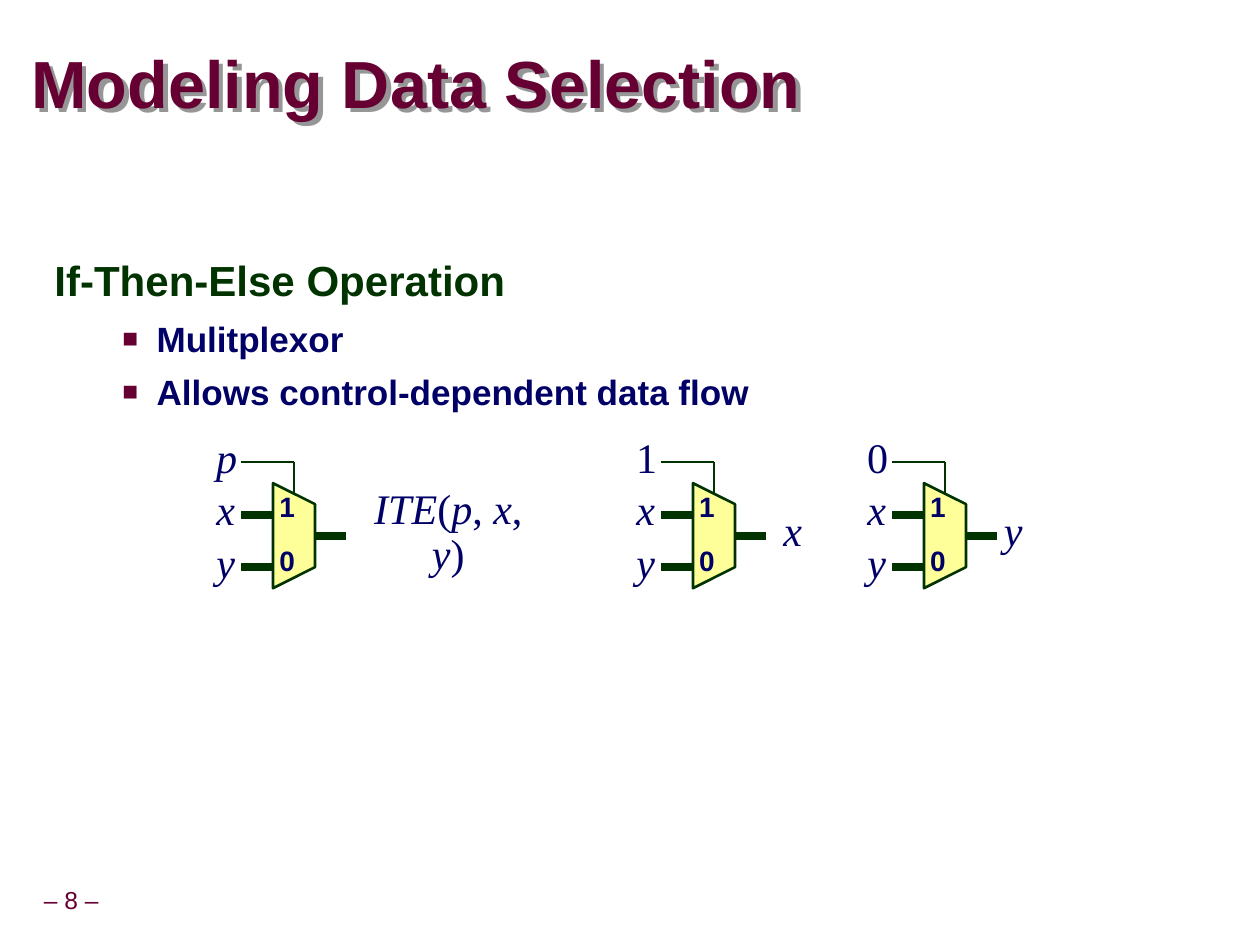
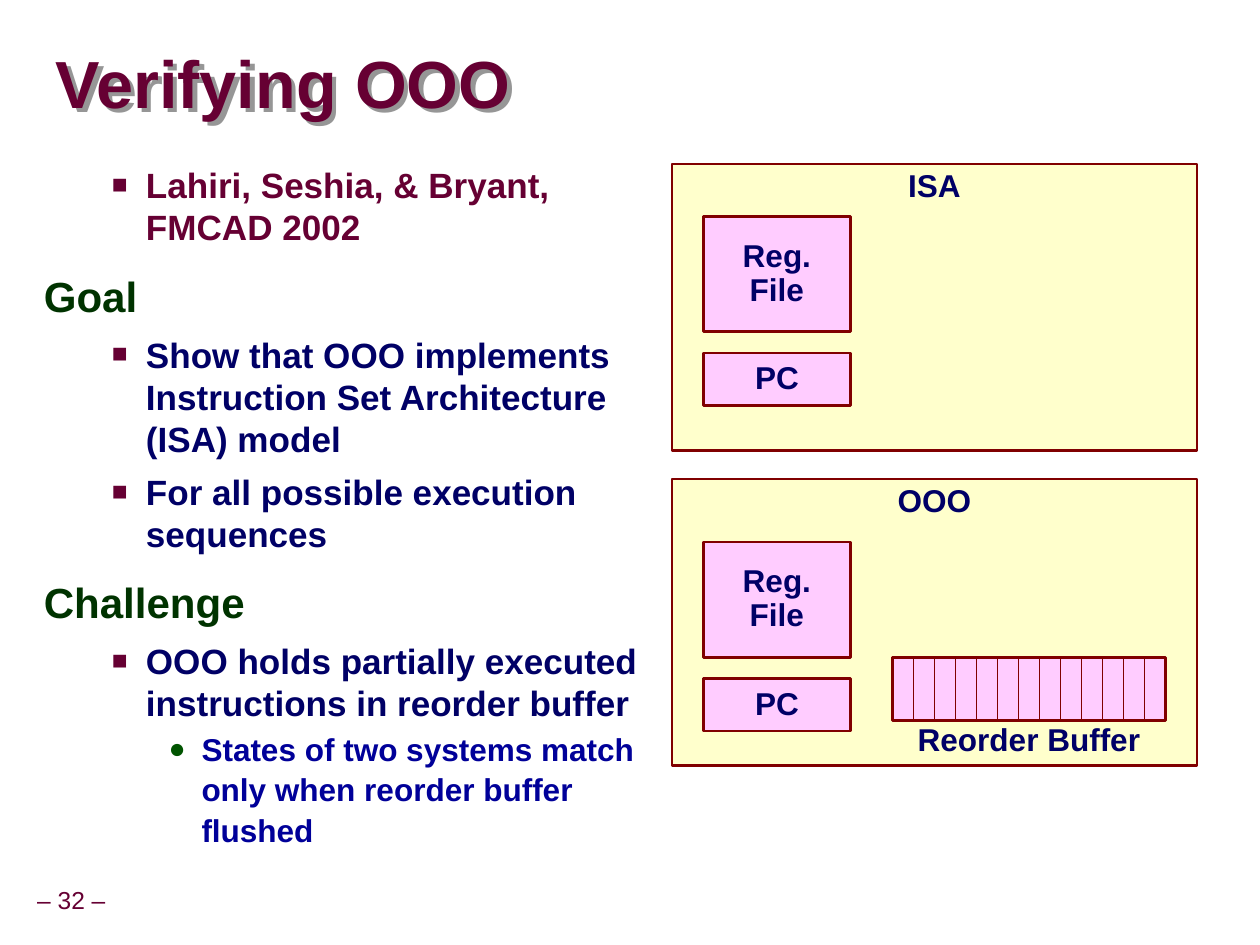
from dataclasses import dataclass
from itertools import groupby

from lxml.etree import SubElement
from pptx import Presentation
from pptx.dml.color import RGBColor
from pptx.enum.shapes import MSO_CONNECTOR, MSO_SHAPE
from pptx.enum.text import MSO_ANCHOR as Anchor, PP_ALIGN as Align
from pptx.oxml.ns import qn
from pptx.util import Inches, Pt

WIDTH, HEIGHT = Inches(9.99), Inches(7.49)
CELL = WIDTH / 120  # the slide is a grid of 120 columns by 90 rows


@dataclass(frozen=True)
class Theme:
    sans: str = "Arial"
    serif: str = "Times New Roman"
    maroon: str = "660033"
    green: str = "003300"
    bullet_green: str = "005400"
    navy: str = "000066"
    blue: str = "000099"
    shadow: str = "969696"
    border: str = "800000"
    mux_fill: str = "FFFF99"
    system_fill: str = "FFFFCC"
    state_fill: str = "FFCCFF"
    title_size: float = 38
    heading_size: float = 24
    item_size: float = 20
    box_size: float = 18
    port_size: float = 16
    footer_size: float = 14
    thin: float = 0.75
    medium: float = 1.5
    thick: float = 4.5


THEME = Theme()


@dataclass(frozen=True)
class Level:
    size: float
    color: str
    left: float = 0
    hanging: float = 0
    line_spacing: float = 1
    before: float = 0
    bullet: str = ""
    bullet_color: str = ""
    bullet_percent: int = 100


HEADING = Level(THEME.heading_size, THEME.green, 0.42, 0.42, 0.95, 15)
ITEM = Level(THEME.item_size, THEME.navy, 0.81, 0.27, 1, 6.2,
             "■", THEME.maroon, 75)
CITATION = Level(THEME.item_size, THEME.maroon, 0.81, 0.27, 1, 6.2,
                 "■", THEME.maroon, 75)
DETAIL = Level(THEME.box_size, THEME.blue, 1.25, 0.26, 1.07, 2.2,
               "●", THEME.bullet_green, 90)


def grid(cells):
    return round(cells * CELL)


def rgb(color):
    return RGBColor.from_string(color)


def style_font(font, size, color, name=THEME.sans, bold=True):
    font.size, font.name, font.bold = Pt(size), name, bold
    font.color.rgb = rgb(color)


def set_frame(frame, inset=0.05, anchor=Anchor.MIDDLE, wrap=False):
    frame.word_wrap = wrap
    frame.vertical_anchor = anchor
    frame.margin_left = frame.margin_right = Inches(inset)
    frame.margin_top = frame.margin_bottom = Inches(min(inset, 0.05))


def add_paragraphs(frame, texts):
    """Fill the frame with one paragraph per text and yield each one."""
    for index, text in enumerate(texts):
        paragraph = frame.add_paragraph() if index else frame.paragraphs[0]
        if text:
            paragraph.add_run().text = text
        yield paragraph


def add_centered(frame, texts, size, color=THEME.navy, bold=True, gap=0):
    for index, paragraph in enumerate(add_paragraphs(frame, texts)):
        paragraph.alignment = Align.CENTER
        paragraph.line_spacing = 0.9
        paragraph.space_before = Pt(gap if index else 0)
        style_font(paragraph.font, size, color, bold=bold)


def add_text_box(slide, left, top, width, height, **frame_options):
    shape = slide.shapes.add_textbox(*map(grid, (left, top, width, height)))
    set_frame(shape.text_frame, **frame_options)
    return shape


def add_text_shadow(shape):
    effects = SubElement(shape.fill._xPr, qn("a:effectLst"))
    shadow = SubElement(effects, qn("a:outerShdw"), dist=str(Inches(0.05)),
                        dir="2700000", algn="ctr", rotWithShape="0")
    SubElement(shadow, qn("a:srgbClr"), val=THEME.shadow)


def add_title(slide, text, left):
    shape = add_text_box(slide, left, 3.2, 119.6 - left, 10.2,
                         inset=0, wrap=True)
    shape.fill.background()
    add_text_shadow(shape)
    for paragraph in add_paragraphs(shape.text_frame, [text]):
        paragraph.line_spacing = 0.87
        style_font(paragraph.font, THEME.title_size, THEME.maroon)


def add_slide(presentation, title, title_left, number):
    slide = presentation.slides.add_slide(presentation.slide_layouts[6])
    footer = add_text_box(slide, 0, 84, 13.6, 3.7)
    add_centered(footer.text_frame, [f"– {number} –"], THEME.footer_size,
                 THEME.maroon, bold=False)
    add_title(slide, title, title_left)
    return slide


def set_bullet(properties, level):
    color = SubElement(properties, qn("a:buClr"))
    SubElement(color, qn("a:srgbClr"), val=level.bullet_color)
    SubElement(properties, qn("a:buSzPct"),
               val=str(level.bullet_percent * 1000))
    SubElement(properties, qn("a:buFont"), typeface=THEME.sans)
    SubElement(properties, qn("a:buChar"), char=level.bullet)


def add_outline(slide, left, top, width, height, entries):
    frame = add_text_box(slide, left, top, width, height, inset=0.1,
                         anchor=Anchor.TOP, wrap=True).text_frame
    levels, texts = zip(*entries)
    for level, paragraph in zip(levels, add_paragraphs(frame, texts)):
        paragraph.line_spacing = level.line_spacing
        paragraph.space_before = Pt(level.before)
        properties = paragraph._p.get_or_add_pPr()
        properties.set("marL", str(Inches(level.left)))
        properties.set("indent", str(-Inches(level.hanging)))
        if level.bullet:
            set_bullet(properties, level)
        style_font(paragraph.font, level.size, level.color)


def add_wire(slide, start, end, weight):
    wire = slide.shapes.add_connector(
        MSO_CONNECTOR.STRAIGHT, *map(grid, (*start, *end)))
    wire.line.color.rgb = rgb(THEME.green)
    wire.line.width = Pt(weight)
    SubElement(wire.line._get_or_add_ln().getparent(), qn("a:effectLst"))


def paint(shape, fill, border, weight):
    shape.shadow.inherit = False
    if fill:
        shape.fill.solid()
        shape.fill.fore_color.rgb = rgb(fill)
    else:
        shape.fill.background()
    shape.line.color.rgb = rgb(border)
    shape.line.width = Pt(weight)


def add_formula(slide, left, top, width, text):
    """Write a formula with its letters in italics."""
    frame = add_text_box(slide, left, top, width, 5.5).text_frame
    paragraph = frame.paragraphs[0]
    paragraph.alignment = Align.CENTER
    paragraph.line_spacing = 0.9
    style_font(paragraph.font, THEME.heading_size, THEME.navy, THEME.serif,
               bold=False)
    for is_letter, characters in groupby(text, str.isalpha):
        run = paragraph.add_run()
        run.text = "".join(characters)
        run.font.italic = is_letter


def add_multiplexor(slide, left, top, select, output, output_gap, output_width):
    right, middle = left + 4, left + 2
    outline = [(left, top + 10), (left, top), (right, top + 2), (right, top + 8)]
    points = [(grid(x), grid(y)) for x, y in outline]
    builder = slide.shapes.build_freeform(*points[0])
    builder.add_line_segments(points[1:], close=True)
    paint(builder.convert_to_shape(), THEME.mux_fill, THEME.green, THEME.medium)

    ports = add_text_box(slide, left, top + 0.4, 2.6, 9.1)
    add_centered(ports.text_frame, ["1", "0"], THEME.port_size, gap=13.7)

    for row in (top + 3, top + 8):
        add_wire(slide, (left, row), (left - 3, row), THEME.thick)
    add_wire(slide, (right + 3, top + 5), (right, top + 5), THEME.thick)
    add_wire(slide, (left - 3, top - 2), (middle, top - 2), THEME.medium)
    add_wire(slide, (middle, top - 2), (middle, top + 1), THEME.medium)

    for offset, name in ((-5, select), (0, "x"), (5, "y")):
        add_formula(slide, left - 6, top + offset, 3, name)
    add_formula(slide, right + output_gap, top + 2, output_width, output)


def add_box(slide, left, top, width, height, fill, texts=(),
            anchor=Anchor.MIDDLE, weight=THEME.medium):
    shape = slide.shapes.add_shape(
        MSO_SHAPE.RECTANGLE, *map(grid, (left, top, width, height)))
    paint(shape, fill, THEME.border, weight)
    set_frame(shape.text_frame, anchor=anchor)
    add_centered(shape.text_frame, texts, THEME.box_size)


def add_system(slide, name, left, top, state_offset):
    """Draw a processor model with its register file and program counter."""
    add_box(slide, left, top, 50, 27.3, THEME.system_fill, [name], Anchor.TOP)
    state_top = top + state_offset
    add_box(slide, left + 3, state_top, 14, 11, THEME.state_fill,
            ["Reg.", "File"])
    add_box(slide, left + 3, state_top + 13, 14, 5, THEME.state_fill, ["PC"])


def add_reorder_buffer(slide, left, top, slots=13, slot_width=2, height=6):
    width = slots * slot_width
    add_box(slide, left, top, width, height, THEME.state_fill)
    for slot in range(slots - 1):
        add_box(slide, left + slot * slot_width, top, slot_width, height,
                None, weight=THEME.thin)
    caption = add_text_box(slide, left, top + 5.8, width, 4.4,
                           anchor=Anchor.TOP)
    add_centered(caption.text_frame, ["Reorder Buffer"], THEME.box_size)


def build_data_selection(presentation):
    slide = add_slide(presentation, "Modeling Data Selection", 3, 8)
    add_outline(slide, 4, 24, 109, 28.6, [
        (HEADING, "If-Then-Else Operation"),
        (ITEM, "Mulitplexor"),
        (ITEM, "Allows control-dependent data flow"),
    ])
    for left, select, output, gap, width in (
            (26, "p", "ITE(p, x, y)", 3, 19.4),
            (66, "1", "x", 4, 3),
            (88, "0", "y", 3, 3)):
        add_multiplexor(slide, left, 46, select, output, gap, width)


def build_verifying(presentation):
    slide = add_slide(presentation, "Verifying OOO", 5.3, 32)
    add_outline(slide, 3, 15, 59.2, 67.5, [
        (CITATION, "Lahiri, Seshia, & Bryant, FMCAD 2002"),
        (HEADING, "Goal"),
        (ITEM, "Show that OOO implements Instruction Set Architecture "
               "(ISA) model"),
        (ITEM, "For all possible execution sequences"),
        (HEADING, "Challenge"),
        (ITEM, "OOO holds partially executed instructions in reorder buffer"),
        (DETAIL, "States of two systems match only when reorder buffer "
                 "flushed"),
    ])
    add_system(slide, "ISA", 64, 15.6, state_offset=5)
    add_system(slide, "OOO", 64, 45.6, state_offset=6)
    add_reorder_buffer(slide, 85, 62.6)


def main():
    presentation = Presentation()
    presentation.slide_width, presentation.slide_height = WIDTH, HEIGHT
    build_data_selection(presentation)
    build_verifying(presentation)
    presentation.save("out.pptx")


if __name__ == "__main__":
    main()
